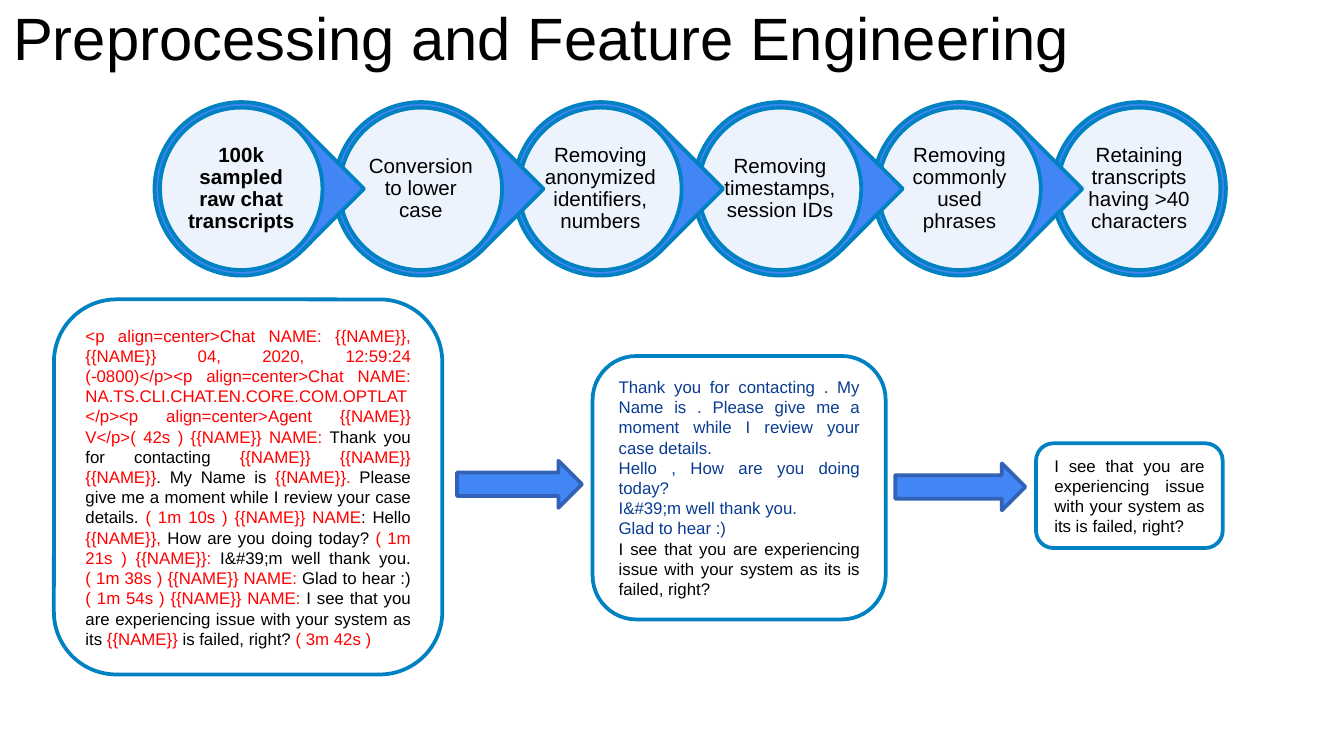
from itertools import cycle

from lxml import etree
from pptx import Presentation
from pptx.dml.color import RGBColor
from pptx.enum import shapes, text
from pptx.oxml.ns import qn
from pptx.util import Cm, Pt

BLUE, EDGE, ARROW_EDGE = "4285F4", "0082C2", "3162B5"
WHITE, BLACK, RED, NAVY = "FFFFFF", "000000", "FF0000", "093C92"
KIND = shapes.MSO_SHAPE

STEPS = [
    "100k sampled raw chat transcripts",
    "Conversion to lower case",
    "Removing anonymized identifiers, numbers",
    "Removing timestamps, session IDs",
    "Removing commonly used phrases",
    "Retaining transcripts having >40 characters",
]
RAW_CHAT = [
    "<p align=center>Chat NAME: {{NAME}}, {{NAME}} 04, 2020, 12:59:24 (-0800)</p>"
    "<p align=center>Chat NAME: NA.TS.CLI.CHAT.EN.CORE.COM.OPTLAT</p>"
    "<p align=center>Agent {{NAME}} V</p>( 42s ) {{NAME}} NAME: ",
    "Thank you for contacting ",
    "{{NAME}} {{NAME}} {{NAME}}",
    ". My Name is ",
    "{{NAME}}. ",
    "Please give me a moment while I review your case details. ",
    "( 1m 10s ) {{NAME}} NAME",
    ": Hello ",
    "{{NAME}}, ",
    "How are you doing today? ",
    "( 1m 21s ) {{NAME}}: ",
    "I&#39;m well thank you. ",
    "( 1m 38s ) {{NAME}} NAME:",
    " Glad to hear :) ",
    "( 1m 54s ) {{NAME}} NAME: ",
    "I see that you are experiencing issue with your system as its ",
    "{{NAME}}",
    " is failed, right? ",
    "( 3m 42s )",
]
COURTESIES = [
    "Thank you for contacting . My Name is . Please give me a moment while I review your case details. ",
    "Hello , How are you doing today? ",
    "I&#39;m well thank you.",
    "Glad to hear :)",
]
ISSUE = "I see that you are experiencing issue with your system as its is failed, right? "


def colour(value):
    return RGBColor.from_string(value)


def add_span(para, words, size, shade, bold=False):
    span = para.add_run()
    span.text = words
    span.font.name = "Arial"
    span.font.size = Pt(size)
    span.font.bold = bold
    span.font.color.rgb = colour(shade)


def add_figure(parent, kind, box, fill, edge):
    figure = parent.shapes.add_shape(kind, *map(Cm, box))
    figure.shadow.inherit = False
    figure.fill.solid()
    figure.fill.fore_color.rgb = colour(fill)
    figure.line.color.rgb = colour(edge)
    figure.line.width = Pt(2)
    return figure


def add_label(parent, box, words, size, inset, align, bold=False):
    label = parent.shapes.add_textbox(*map(Cm, box))
    frame = label.text_frame
    frame.word_wrap = True
    frame.vertical_anchor = text.MSO_ANCHOR.MIDDLE
    frame.margin_left = frame.margin_right = Cm(inset)
    frame.margin_top = frame.margin_bottom = Cm(inset)
    para = frame.paragraphs[0]
    para.alignment = align
    add_span(para, words, size, BLACK, bold)
    return para


def add_step(parent, box, words, first, last):
    left, top, side, _ = box
    outer = add_figure(parent, KIND.OVAL if last else KIND.TEAR, box, BLUE, EDGE)
    outer.rotation = 0 if last else 45

    def centred(size):
        gap = (side - size) / 2
        return left + gap, top + gap, size, size

    disc = add_figure(parent, KIND.OVAL, centred(3.07), WHITE, EDGE)
    shade = disc.fill._xPr.find(qn("a:solidFill"))[0]
    etree.SubElement(shade, qn("a:alpha")).set("val", "90000")
    para = add_label(parent, centred(2.19), words, 11, 0.04, text.PP_ALIGN.CENTER, first)
    para.line_spacing = 0.9


def add_process(page, box):
    left, top, width, side = box
    pitch = (width - side) / (len(STEPS) - 1)
    group = page.shapes.add_group_shape()
    for index, words in reversed(list(enumerate(STEPS))):
        place = left + index * pitch, top, side, side
        add_step(group, place, words, index == 0, index == len(STEPS) - 1)


def add_card(page, box, paragraphs):
    card = add_figure(page, KIND.ROUNDED_RECTANGLE, box, WHITE, EDGE)
    frame = card.text_frame
    frame.word_wrap = True
    frame.auto_size = text.MSO_AUTO_SIZE.SHAPE_TO_FIT_TEXT
    frame.vertical_anchor = text.MSO_ANCHOR.MIDDLE
    for index, spans in enumerate(paragraphs):
        para = frame.add_paragraph() if index else frame.paragraphs[0]
        para.alignment = text.PP_ALIGN.JUSTIFY
        for words, shade in spans:
            add_span(para, words, 9, shade)


def add_example(page):
    issue = [(ISSUE, BLACK)]
    add_card(page, (1.02, 5.66, 7.34, 7.09), [zip(RAW_CHAT, cycle([RED, BLACK]))])
    add_figure(page, KIND.RIGHT_ARROW, (8.64, 8.71, 2.36, 0.89), BLUE, ARROW_EDGE)
    cleaned = [[(words, NAVY)] for words in COURTESIES]
    add_card(page, (11.2, 6.73, 5.54, 4.98), cleaned + [issue])
    add_figure(page, KIND.RIGHT_ARROW, (16.92, 8.76, 2.46, 0.89), BLUE, ARROW_EDGE)
    add_card(page, (19.58, 8.38, 3.53, 1.98), [issue])


def main():
    deck = Presentation()
    deck.slide_width, deck.slide_height = Cm(25.4), Cm(14.29)
    page = deck.slides.add_slide(deck.slide_layouts[6])
    title = "Preprocessing and Feature Engineering"
    add_label(page, (0, 0, 23.11, 1.37), title, 32, 0.25, text.PP_ALIGN.LEFT)
    add_process(page, (2.92, 1.93, 20.25, 3.28))
    add_example(page)
    deck.save("out.pptx")


if __name__ == "__main__":
    main()
